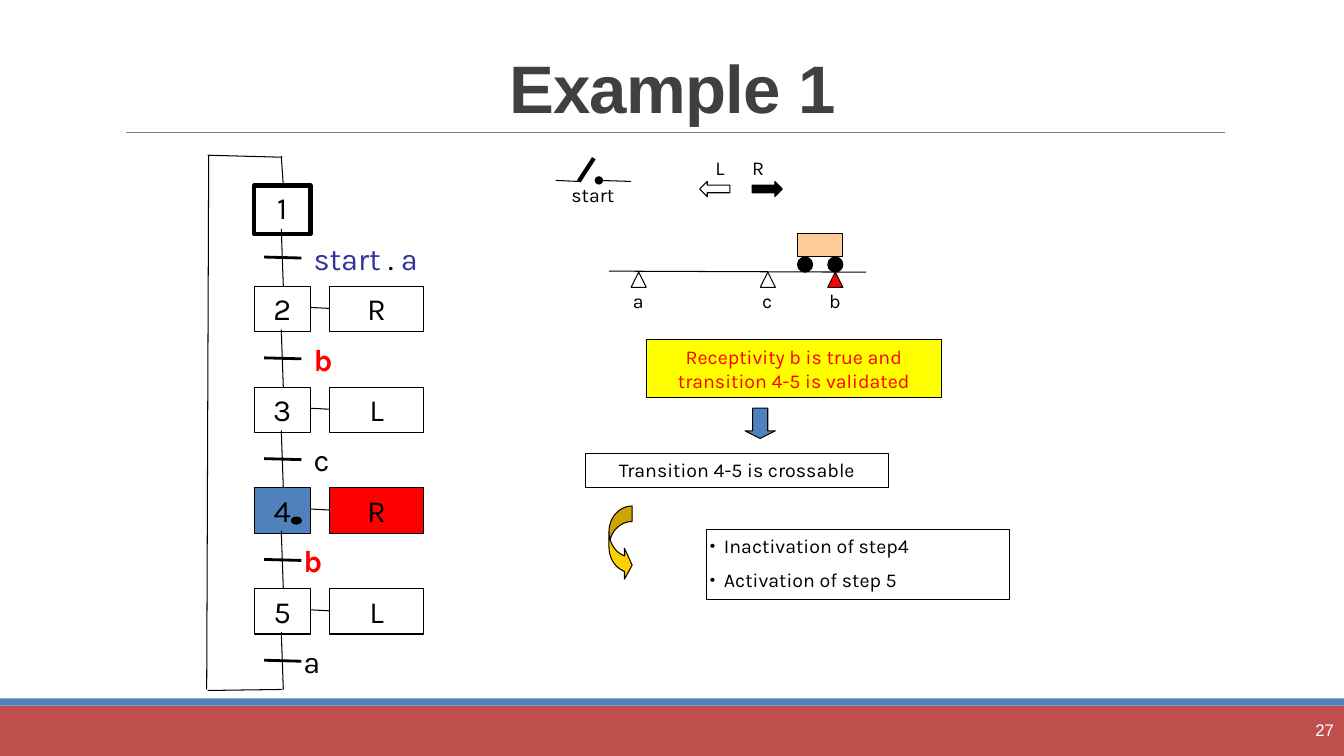
from dataclasses import dataclass

from lxml.etree import SubElement
from pptx import Presentation
from pptx.dml.color import RGBColor
from pptx.enum.shapes import MSO_CONNECTOR as Link, MSO_SHAPE as Kind
from pptx.enum.text import MSO_ANCHOR as Anchor, MSO_AUTO_SIZE as AutoSize, PP_ALIGN as Align
from pptx.oxml.ns import qn
from pptx.util import Emu, Pt

PX = 9144  # one px is a hundredth of an inch


@dataclass(frozen=True)
class Theme:
    black: str = "000000"
    white: str = "FFFFFF"
    red: str = "FF0000"
    blue: str = "4F81BD"
    brick: str = "C0504D"
    gray: str = "808080"
    heading: str = "404040"
    indigo: str = "333399"
    yellow: str = "FFFF00"
    gold: str = "FFCF01"
    peach: str = "FFCC99"
    title_font: str = "Arial"
    body_font: str = "Karla"
    title_size: int = 48
    step_size: int = 22
    label_size: int = 14
    number_size: int = 12
    step_leading: float = 26.1
    label_leading: float = 17.1
    thin: float = 0.75


THEME = Theme()


def px(*lengths):
    return [Emu(length * PX) for length in lengths]


def write_text(shape, text, font=THEME.body_font, size=THEME.label_size, color=THEME.black,
               bold=False, align=Align.CENTER, anchor=Anchor.TOP, leading=THEME.label_leading,
               insets=(0, 0, 0, 0), after=0, bullet_indent=0):
    """Lines are split at newlines; a list of (text, color) makes coloured spans."""
    frame = shape.text_frame
    frame.word_wrap = True
    frame.auto_size = AutoSize.NONE
    frame.vertical_anchor = anchor
    frame.margin_left, frame.margin_top, frame.margin_right, frame.margin_bottom = px(*insets)
    lines = [text] if isinstance(text, list) else [[(line, color)] for line in text.split("\n")]
    for index, spans in enumerate(lines):
        para = frame.add_paragraph() if index else frame.paragraphs[0]
        para.alignment = align
        para.line_spacing = leading if leading <= 1 else Pt(leading)
        para.space_before = Pt(0)
        para.space_after = Pt(after if index < len(lines) - 1 else 0)
        if bullet_indent:
            props = para._p.get_or_add_pPr()
            props.set("marL", str(bullet_indent * PX))
            props.set("indent", str(-bullet_indent * PX))
            SubElement(props, qn("a:buFont"), typeface=font)
            SubElement(props, qn("a:buChar"), char="•")
        for words, span_color in spans:
            span = para.add_run()
            span.text = words
            span.font.name, span.font.size, span.font.bold = font, Pt(size), bold
            span.font.color.rgb = RGBColor.from_string(span_color)


def add_label(page, box, text, **format):
    label = page.shapes.add_textbox(*px(*box))
    write_text(label, text, **format)
    return label


def paint(shape, fill=None, line=THEME.black, width=THEME.thin):
    if fill:
        shape.fill.solid()
        shape.fill.fore_color.rgb = RGBColor.from_string(fill)
    else:
        shape.fill.background()
    if line:
        shape.line.color.rgb = RGBColor.from_string(line)
        shape.line.width = Pt(width)
    else:
        shape.line.fill.background()


def add_shape(page, kind, box, adjust=(), **look):
    shape = page.shapes.add_shape(kind, *px(*box))
    shape.shadow.inherit = False
    paint(shape, **look)
    for index, value in enumerate(adjust):
        shape.adjustments[index] = value
    return shape


def add_line(page, start, end, color=THEME.black, width=THEME.thin, dot=False):
    line = page.shapes.add_connector(Link.STRAIGHT, *px(*start, *end))
    line.line.color.rgb = RGBColor.from_string(color)
    line.line.width = Pt(width)
    if dot:
        SubElement(line.line._get_or_add_ln(), qn("a:headEnd"), type="oval")
    SubElement(line._element.spPr, qn("a:effectLst"))


def place(shape, box):
    shape.left, shape.top, shape.width, shape.height = px(*box)


def draw_frame(page, box):
    left, top, width, height = box
    bottom = top + height
    add_shape(page, Kind.RECTANGLE, (left, bottom - 50, width, 50), fill=THEME.brick, line=None)
    add_shape(page, Kind.RECTANGLE, (left, bottom - 57, width, 7), fill=THEME.blue, line=None)
    add_line(page, (left + 125, top + 131), (left + 1215, top + 131), THEME.gray, 0.5)
    title = page.shapes.title
    place(title, (left + 117, top + 17, 1100, 114))
    write_text(title, "Example 1", font=THEME.title_font, size=THEME.title_size, bold=True,
               color=THEME.heading, anchor=Anchor.BOTTOM, leading=0.85, insets=(10, 5, 10, 5))
    title.text_frame.paragraphs[0].runs[0].font._element.set("spc", "-50")
    add_label(page, (left + width - 143, bottom - 46, 143, 40), "27", font=THEME.title_font,
              size=THEME.number_size, color=THEME.white, align=Align.RIGHT,
              anchor=Anchor.MIDDLE, leading=1, insets=(10, 5, 10, 5))


def draw_sequence(page, box):
    left, top, width, height = box
    bottom = top + height
    axis = left + 75
    step_text = dict(size=THEME.step_size, leading=THEME.step_leading)
    start_a = [("start ", THEME.indigo), (". ", THEME.black), ("a", THEME.indigo)]
    # step fill, action, action fill, condition, condition offset, condition is true
    steps = [
        (None, None, None, start_a, 106, False),
        (None, "R", None, "b", 106, True),
        (None, "L", None, "c", 106, False),
        (THEME.blue, "R", THEME.red, "b", 96, True),
        (None, "L", None, "a", 96, False),
    ]
    # Return loop
    add_line(page, (axis, bottom), (left + 1, bottom + 1))
    add_line(page, (left, bottom), (left + 2, top + 1))
    add_line(page, (left + 1, top), (axis, top + 2))
    add_line(page, (axis - 1, top + 1), (axis + 1, top + 30))
    # Steps, actions and transitions
    for index, (fill, action, action_fill, condition, offset, true) in enumerate(steps):
        y = top + 30 + 100 * index
        first = index == 0
        step = add_shape(page, Kind.RECTANGLE, (left + 47, y, 56, 48 if first else 45),
                         fill=fill, width=3 if first else THEME.thin)
        write_text(step, str(index + 1), insets=(3, 4, 3, 0), **step_text)
        if action:
            add_line(page, (left + 103, y + 21), (left + 122, y + 22))
            box_action = add_shape(page, Kind.RECTANGLE, (left + 122, y, 93, 45), fill=action_fill)
            write_text(box_action, action, insets=(3, 4, 3, 0), **step_text)
        add_line(page, (axis - 1, y + 43), (axis + 1, y + 100))
        add_line(page, (left + 57, y + 71), (left + 94, y + 72), width=2)
        add_label(page, (left + offset, y + 54, 123, 36), condition, align=Align.LEFT, bold=true,
                  color=THEME.red if true else THEME.black, **step_text)
    # Token of the active step
    add_shape(page, Kind.OVAL, (left + 84, top + 359, 10, 7), fill=THEME.black)


def draw_process(page, box):
    left, top, width, height = box
    # Start switch
    add_line(page, (left + 23, top + 26), (left + 38, top + 3), width=3)
    add_line(page, (left, top + 25), (left + 23, top + 26))
    add_line(page, (left + 43, top + 25), (left + 75, top + 26), dot=True)
    add_label(page, (left + 3, top + 27, 68, 24), "start")
    # Direction arrows
    for kind, x, letter, center, fill in [(Kind.LEFT_ARROW, 143, "L", 163, None),
                                          (Kind.RIGHT_ARROW, 195, "R", 201, THEME.black)]:
        add_shape(page, kind, (left + x, top + 26, 30, 15), fill=fill)
        add_label(page, (left + center - 15, top, 30, 24), letter)
    # Track and cart
    track = top + 116
    add_line(page, (left + 53, track - 1), (left + width, track))
    add_shape(page, Kind.RECTANGLE, (left + 240, track - 38, 45, 23), fill=THEME.peach)
    for x in (240, 270):
        add_shape(page, Kind.OVAL, (left + x, track - 15, 15, 15), fill=THEME.black)
    # Position sensors
    for x, name, fill in [(75, "a", None), (203, "c", None), (270, "b", THEME.red)]:
        add_shape(page, Kind.ISOSCELES_TRIANGLE, (left + x, track, 15, 15), fill=fill)
        add_label(page, (left + x - 12, track + 16, 38, 24), name)


def draw_reasoning(page, box):
    left, top, width, height = box
    # Condition and consequence
    condition = add_shape(page, Kind.RECTANGLE, (left + 60, top, 293, 57), fill=THEME.yellow)
    write_text(condition, "Receptivity b is true and transition 4-5 is validated",
               color=THEME.red, insets=(3, 5, 3, 0))
    add_shape(page, Kind.DOWN_ARROW, (left + 158, top + 68, 30, 30), (0.5, 0.25), fill=THEME.blue)
    crossable = add_shape(page, Kind.RECTANGLE, (left, top + 113, 300, 34))
    write_text(crossable, "Transition 4-5 is crossable", insets=(3, 4, 3, 0))
    # Resulting actions
    add_shape(page, Kind.CURVED_RIGHT_ARROW, (left + 23, top + 165, 23, 74), (0.67, 1.33, 0.33),
              fill=THEME.gold)
    results = page.placeholders[1]
    place(results, (left + 120, top + height - 70, 300, 70))
    paint(results)
    write_text(results, "Inactivation of step4\nActivation of step 5", align=Align.LEFT,
               insets=(3, 4, 3, 0), after=7.2, bullet_indent=14)


def main():
    deck = Presentation()
    deck.slide_width, deck.slide_height = px(1333, 750)
    page = deck.slides.add_slide(deck.slide_layouts[1])
    draw_frame(page, (0, 0, 1333, 750))
    draw_sequence(page, (205, 154, 214, 530))
    draw_process(page, (551, 154, 308, 156))
    draw_reasoning(page, (581, 337, 420, 258))
    deck.save("out.pptx")


if __name__ == "__main__":
    main()
